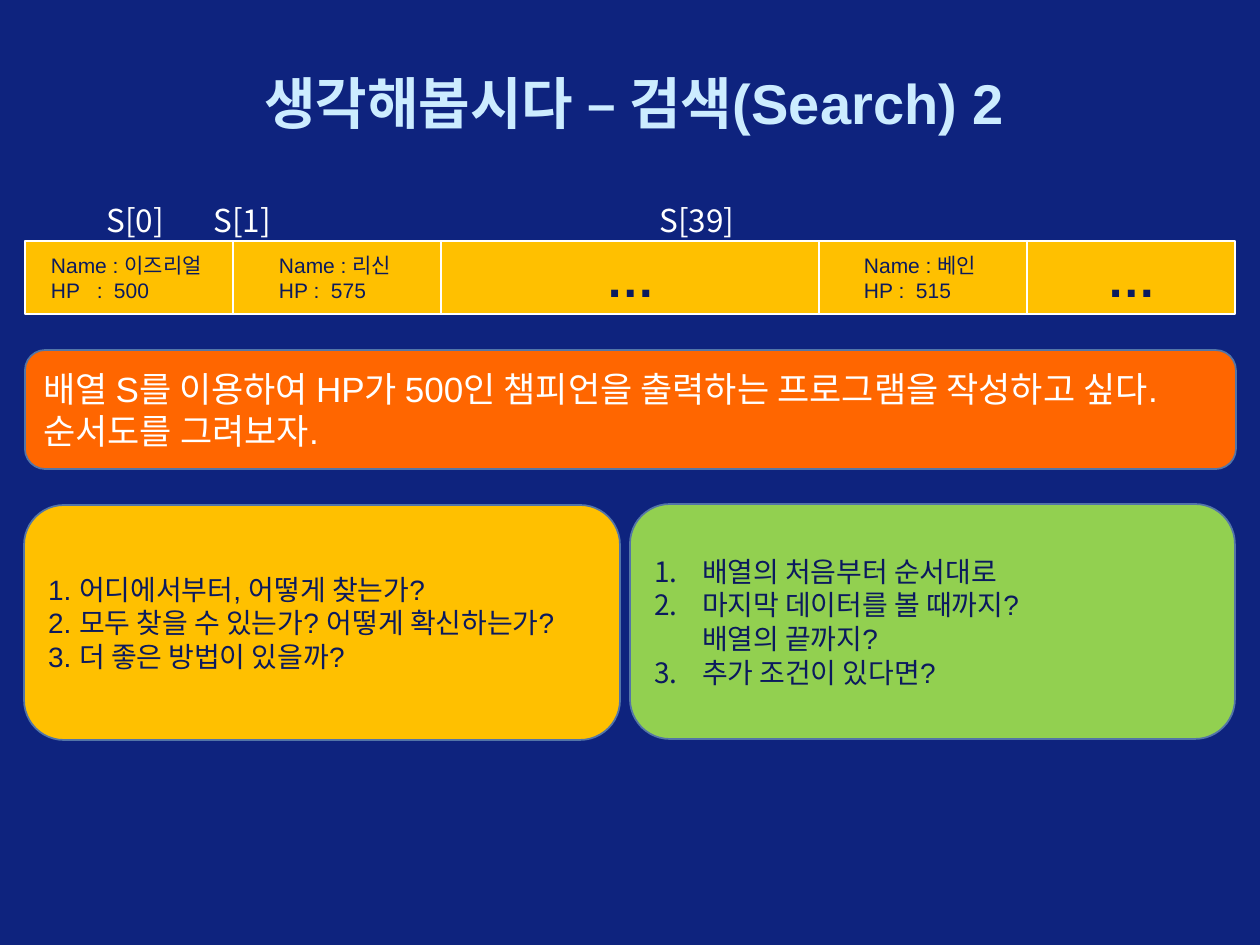
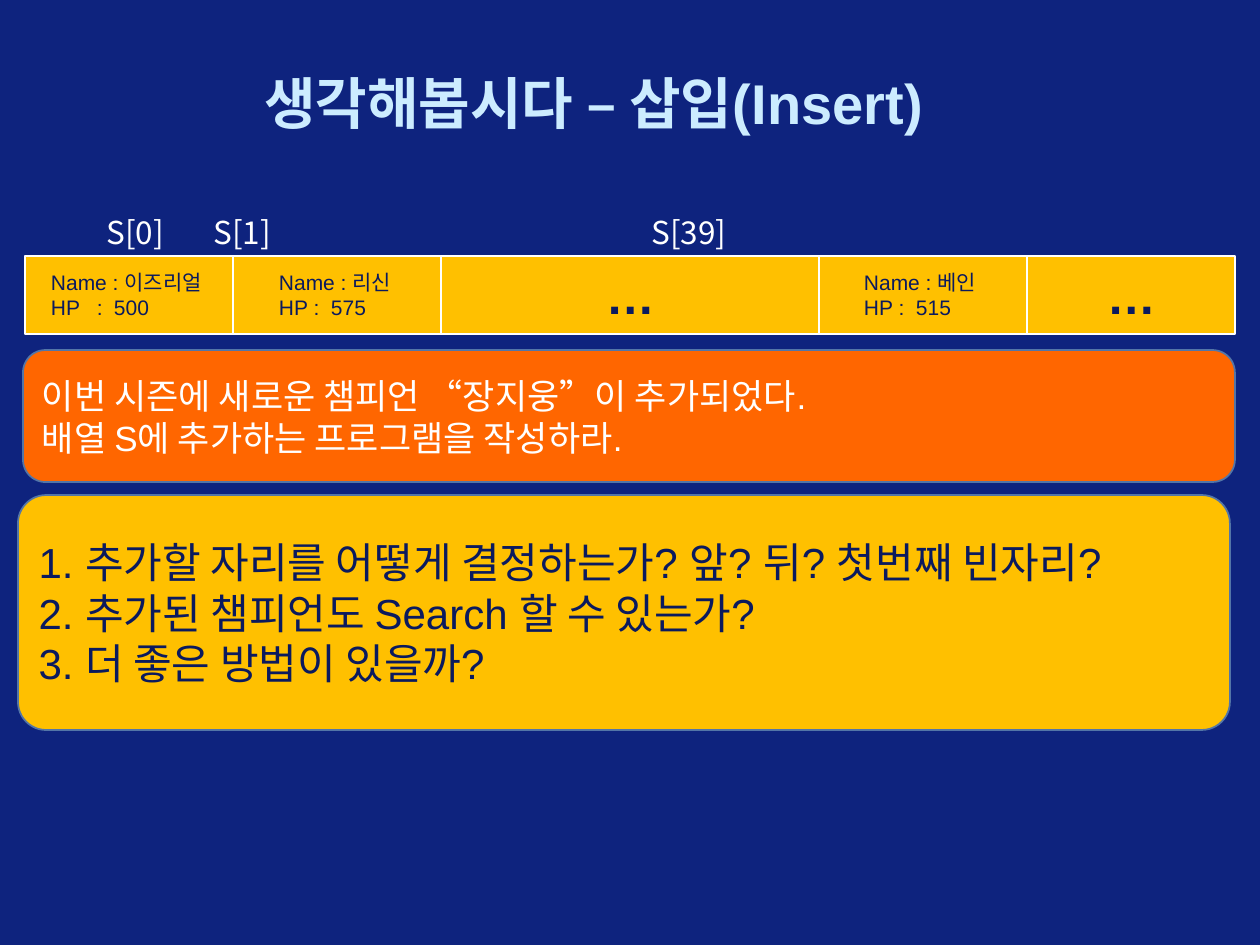
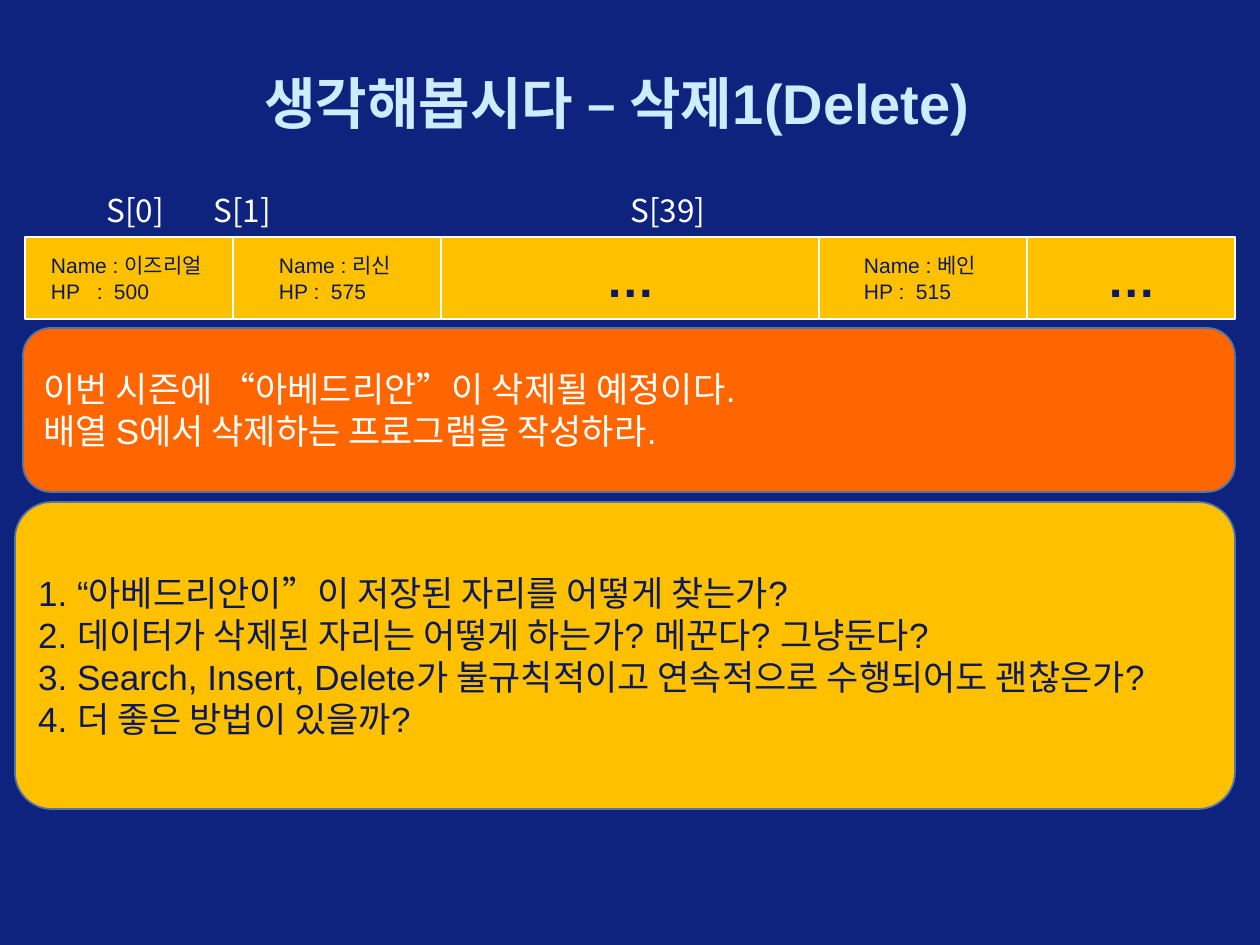
import dataclasses

import pptx
import pptx.dml.color
import pptx.enum.shapes
import pptx.enum.text
import pptx.oxml.ns
import pptx.util
from lxml import etree

PX = 914400 / 126  # EMU in one px
SHAPE = pptx.enum.shapes.MSO_SHAPE
ALIGN = pptx.enum.text.PP_ALIGN
ANCHOR = pptx.enum.text.MSO_ANCHOR
qn = pptx.oxml.ns.qn


@dataclasses.dataclass(frozen=True)
class Theme:
    background: str = "0E237E"
    title: str = "CCECFF"
    white: str = "FFFFFF"
    ink: str = "0B1A5E"
    task: str = "FF6600"
    amber: str = "FFC000"
    answer: str = "92D050"
    outline: str = "5375A7"
    font: str = "Arial"
    korean: str = "Noto Sans CJK KR"
    title_size: int = 32
    dots_size: int = 28
    large_size: int = 24
    task_size: int = 20
    index_size: int = 18
    note_size: int = 16
    cell_size: int = 12


THEME = Theme()


def rgb(value):
    return pptx.dml.color.RGBColor.from_string(value)


def add_box(shapes, place, lines, size, color, fill=None, line=None, kind=SHAPE.ROUNDED_RECTANGLE,
            font=THEME.font, bold=False, align=ALIGN.LEFT, anchor=ANCHOR.MIDDLE, tabs=()):
    """Add a filled shape, or a plain text box when fill is None; place and tabs are in px."""
    emu = [round(value * PX) for value in place]
    if fill:
        box = shapes.add_shape(kind, *emu)
        box.shadow.inherit = False
        box.fill.solid()
        box.fill.fore_color.rgb = rgb(fill)
        box.line.color.rgb = rgb(line)
        box.line.width = pptx.util.Pt(0.75 if kind == SHAPE.RECTANGLE else 1)
    else:
        box = shapes.add_textbox(*emu)
    frame = box.text_frame
    frame.word_wrap = True
    frame.vertical_anchor = anchor
    frame.text = "\n".join(lines)
    for para in frame.paragraphs:
        para.alignment = align
        para.font.size = pptx.util.Pt(size)
        para.font.bold = bold
        para.font.color.rgb = rgb(color)
        para.font.name = font
        properties = para._p.get_or_add_pPr()
        etree.SubElement(properties.find(qn("a:defRPr")), qn("a:ea"), typeface=THEME.korean)
        if tabs:
            stops = etree.Element(qn("a:tabLst"))
            for stop in tabs:
                etree.SubElement(stops, qn("a:tab"), pos=str(round(stop * PX)), algn="l")
            properties.insert(0, stops)
    return box


# Array cells: left edge, width, lines, left margin of the text, tab stops
CELLS = [
    (25, 208, ["Name : 이즈리얼", "HP\t:\t500"], 26, (46, 63)),
    (233, 208, ["Name : 리신", "HP :\t575"], 46, (52,)),
    (441, 378, ["…"], 13, ()),
    (819, 208, ["Name : 베인", "HP :\t515"], 45, (52,)),
    (1027, 208, ["…"], 13, ()),
]

# Array: top, height, top of the index labels, tab stop of S[39]
# Panels: place, lines, size, text colour, fill, corner
SLIDES = [
    ("생각해봅시다 – 검색(Search) 2", (241, 73, 195, 553), [
        ((25, 350, 1211, 119),
         ["배열 S를 이용하여 HP가 500인 챔피언을 출력하는 프로그램을 작성하고 싶다. 순서도를 그려보자."],
         THEME.task_size, THEME.white, THEME.task, 0.17),
        ((24, 505, 596, 235),
         ["1. 어디에서부터, 어떻게 찾는가?",
          "2. 모두 찾을 수 있는가? 어떻게 확신하는가?",
          "3. 더 좋은 방법이 있을까?"],
         THEME.note_size, THEME.ink, THEME.amber, 0.17),
        ((630, 504, 605, 235),
         ["배열의 처음부터 순서대로", "마지막 데이터를 볼 때까지?", "배열의 끝까지?", "추가 조건이 있다면?"],
         THEME.note_size, THEME.ink, THEME.answer, 0.17),
    ]),
    ("생각해봅시다 – 삽입(Insert)", (256, 78, 207, 545), [
        ((23, 350, 1212, 132),
         ["이번 시즌에 새로운 챔피언 “장지웅”이 추가되었다.", "배열 S에 추가하는 프로그램을 작성하라."],
         THEME.task_size, THEME.white, THEME.task, 0.17),
        ((18, 495, 1212, 235),
         ["1. 추가할 자리를 어떻게 결정하는가? 앞? 뒤? 첫번째 빈자리?",
          "2. 추가된 챔피언도 Search 할 수 있는가?",
          "3. 더 좋은 방법이 있을까?"],
         THEME.large_size, THEME.ink, THEME.amber, 0.12),
    ]),
    ("생각해봅시다 – 삭제1(Delete)", (237, 82, 185, 524), [
        ((23, 328, 1212, 164),
         ["이번 시즌에 “아베드리안”이 삭제될 예정이다.", "배열 S에서 삭제하는 프로그램을 작성하라."],
         THEME.task_size, THEME.white, THEME.task, 0.17),
        ((15, 502, 1220, 307),
         ["1. “아베드리안이”이 저장된 자리를 어떻게 찾는가?",
          "2. 데이터가 삭제된 자리는 어떻게 하는가? 메꾼다? 그냥둔다?",
          "3. Search, Insert, Delete가 불규칙적이고 연속적으로 수행되어도 괜찮은가?",
          "4. 더 좋은 방법이 있을까?"],
         THEME.task_size, THEME.ink, THEME.amber, 0.12),
    ]),
]

deck = pptx.Presentation()
deck.slide_width = round(1260 * PX)
deck.slide_height = round(945 * PX)

for title, (top, height, index_top, last_stop), panels in SLIDES:
    page = deck.slides.add_slide(deck.slide_layouts[6])
    page.background.fill.solid()
    page.background.fill.fore_color.rgb = rgb(THEME.background)
    add_box(page.shapes, (252, 63, 955, 78), [title], THEME.title_size, THEME.title, bold=True)

    for place, lines, size, color, fill, corner in panels:
        panel = add_box(page.shapes, place, lines, size, color, fill, THEME.outline)
        panel.adjustments[0] = corner
        if fill == THEME.answer:
            for para, start in zip(panel.text_frame.paragraphs, (1, 2, None, 3)):
                properties = para._p.get_or_add_pPr()
                properties.set("marL", str(round(48 * PX)))
                if start:
                    properties.set("indent", str(round(-48 * PX)))
                    number = etree.Element(qn("a:buAutoNum"), type="arabicPeriod", startAt=str(start))
                    properties.insert(0, number)

    array = page.shapes.add_group_shape()
    for left, width, lines, margin, tabs in CELLS:
        dots = lines == ["…"]
        cell = add_box(array.shapes, (left, top, width, height), lines,
                       THEME.dots_size if dots else THEME.cell_size, THEME.ink, THEME.amber, THEME.white,
                       kind=SHAPE.RECTANGLE, bold=dots, align=ALIGN.CENTER if dots else ALIGN.LEFT, tabs=tabs)
        cell.text_frame.margin_left = round(margin * PX)
    add_box(array.shapes, (94, index_top, 965, 40), ["S[0]\tS[1]\tS[39]"], THEME.index_size, THEME.white,
            font=THEME.korean, anchor=ANCHOR.TOP, tabs=(107, last_stop))

deck.save("out.pptx")
